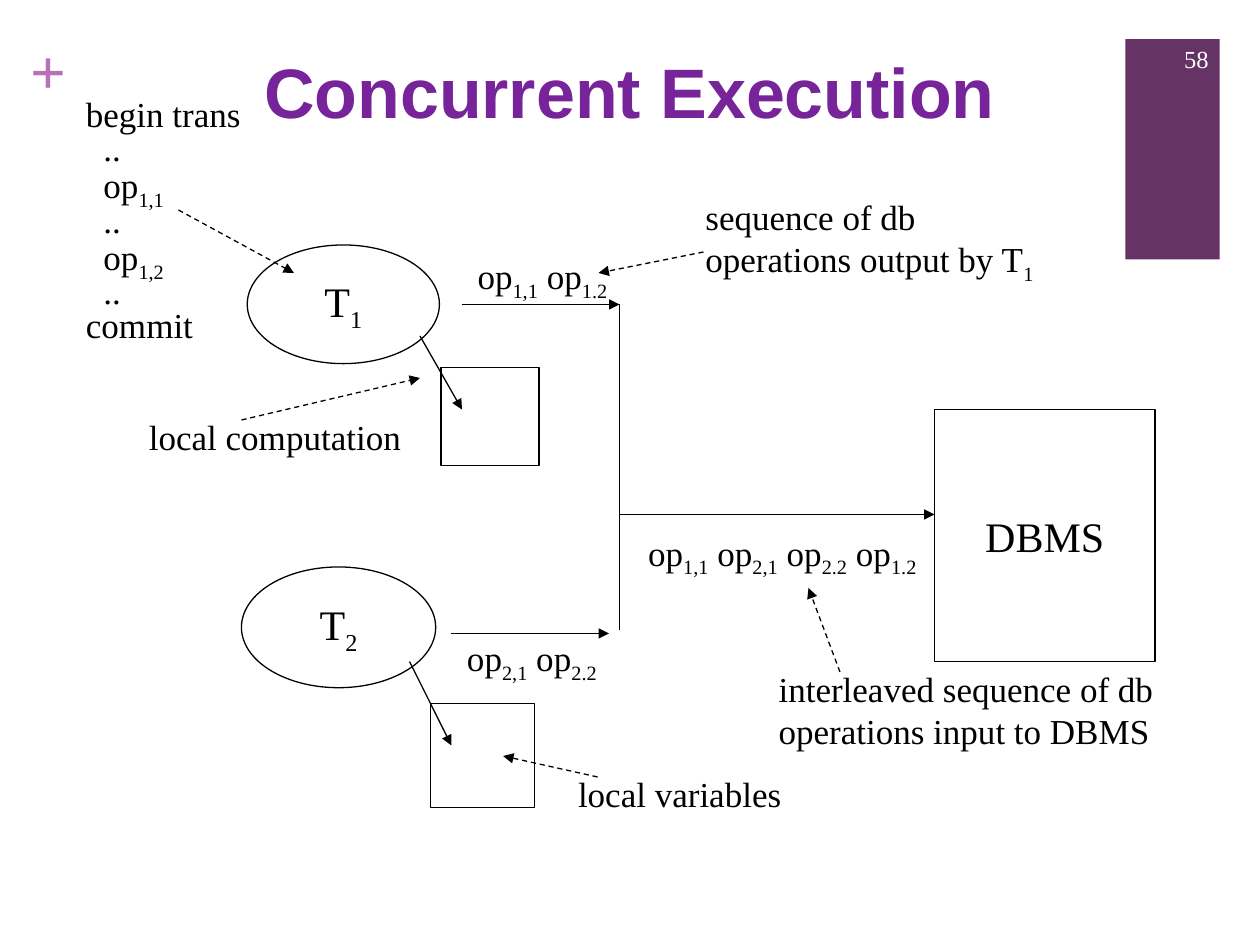
"""Build the slide that shows two transactions interleaving their operations on a DBMS."""
from lxml import etree
from pptx import Presentation
from pptx.dml.color import RGBColor
from pptx.enum import dml, shapes, text
from pptx.oxml import ns
from pptx.util import Pt

SERIF, BLACK, WHITE = "Times New Roman", "000000", "FFFFFF"
PURPLE, PLUM, ORCHID = "772399", "663366", "B870B8"
INSETS = (7.2, 3.6, 7.2, 3.6)
BUS_X, DBMS_X = 354, 534
OVAL, RECT = shapes.MSO_SHAPE.OVAL, shapes.MSO_SHAPE.RECTANGLE

NODES = [
    (OVAL, (141.3, 140, 109.8, 67.8), "T|1"),
    (OVAL, (138, 324, 111, 69), "T|2"),
    (RECT, (252, 210, 56, 56), ""),
    (RECT, (246, 402, 59.4, 59.4), ""),
    (RECT, (DBMS_X, 234, 126, 144), "DBMS"),
]
LABELS = [
    ((78, 234, 162, 31.5), ["local computation"]),
    ((323.2, 438, 134, 31.5), ["local variables"]),
    ((396, 108, 206, 59), ["sequence of db", "operations output by T|1"]),
    ((265.8, 142, 92, 34.5), ["op|1,1| op|1.2"]),
    ((259.8, 360, 92, 34.5), ["op|2,1| op|2.2"]),
    ((363.3, 300, 172, 34.5), ["op|1,1| op|2,1| op|2.2| op|1.2"]),
    ((437.8, 378, 234, 55.5), ["interleaved sequence of db", "operations input to DBMS"]),
]
PROGRAM_BOX = (42, 54, 106, 147)
PROGRAM = ["begin trans", "\t..", "\top|1,1", "\t..", "\top|1,2", "\t..", "commit"]
FLOWS = [
    ((264, 174), (BUS_X, 174)),
    ((258, 362), (348, 362)),
    ((BUS_X, 294), (DBMS_X, 294)),
    ((240, 192), (264, 234)),
    ((234, 378), (258, 426)),
]
POINTERS = [
    ((341.5, 444), (287.5, 432)),
    ((402, 144), (342, 156)),
    ((138, 240), (240, 216)),
    ((480, 384), (462, 336)),
    ((102, 120), (168, 156)),
]


def color(value):
    return RGBColor.from_string(value)


def write(sp, lines, size=20, font=SERIF, ink=BLACK, bold=False, align="LEFT",
          anchor="TOP", insets=INSETS, wrap=False, spacing=None):
    """Fill a shape; '|' toggles subscript and a leading tab indents the line."""
    tf = sp.text_frame
    tf.word_wrap = wrap
    tf.vertical_anchor = text.MSO_ANCHOR[anchor]
    tf.margin_left, tf.margin_top, tf.margin_right, tf.margin_bottom = map(Pt, insets)
    for i, line in enumerate(lines):
        p = tf.add_paragraph() if i else tf.paragraphs[0]
        p.alignment = text.PP_ALIGN[align]
        if spacing:
            p.line_spacing = spacing
        if line.startswith("\t"):
            p._p.get_or_add_pPr().set("marL", str(Pt(10)))
        for j, part in enumerate(line.strip("\t").split("|")):
            if not part:
                continue
            r = p.add_run()
            r.text = part
            r.font.size, r.font.name, r.font.bold = Pt(size), font, bold
            r.font.color.rgb = color(ink)
            if j % 2:
                r.font._element.set("baseline", "-25000")


def add_text(s, box, lines, **fmt):
    write(s.shapes.add_textbox(*map(Pt, box)), lines, **fmt)


def add_node(s, kind, box, fill=WHITE, line=BLACK):
    sp = s.shapes.add_shape(kind, *map(Pt, box))
    sp.shadow.inherit = False
    sp.fill.solid()
    sp.fill.fore_color.rgb = color(fill)
    if line:
        sp.line.color.rgb = color(line)
        sp.line.width = Pt(0.75)
    else:
        sp.line.fill.background()
    return sp


def add_line(s, start, end, dashed=False, arrow=True):
    c = s.shapes.add_connector(shapes.MSO_CONNECTOR.STRAIGHT, *map(Pt, start + end))
    c.line.color.rgb = color(BLACK)
    c.line.width = Pt(0.75)
    if dashed:
        c.line.dash_style = dml.MSO_LINE.DASH
    if arrow:
        etree.SubElement(c.line._get_or_add_ln(), ns.qn("a:tailEnd"), type="triangle")
    etree.SubElement(c._element.spPr, ns.qn("a:effectLst"))


def main():
    prs = Presentation()
    prs.slide_width, prs.slide_height = Pt(720), Pt(540)
    s = prs.slides.add_slide(prs.slide_layouts[6])

    add_node(s, RECT, (643, 22.3, 54, 126), fill=PLUM, line=None)
    add_text(s, (17.3, 18, 20.4, 43), ["+"], size=36, ink=ORCHID, bold=True, insets=(0, 0, 0, 0))
    add_text(s, (653.8, 19, 44, 29), ["58"], size=14, ink=WHITE, align="RIGHT",
             anchor="MIDDLE", wrap=True)
    add_text(s, (144, 24, 546, 48), ["Concurrent Execution"], size=40, font="Arial",
             ink=PURPLE, bold=True, wrap=True)

    for kind, box, name in NODES:
        sp = add_node(s, kind, box)
        if name:
            write(sp, [name], size=24, align="CENTER", anchor="MIDDLE")
    for box, lines in LABELS:
        add_text(s, box, lines)
    add_text(s, PROGRAM_BOX, PROGRAM, spacing=0.8)

    add_line(s, (BUS_X, 174), (BUS_X, 360), arrow=False)
    for start, end in FLOWS:
        add_line(s, start, end)
    for start, end in POINTERS:
        add_line(s, start, end, dashed=True)
    prs.save("out.pptx")


if __name__ == "__main__":
    main()
